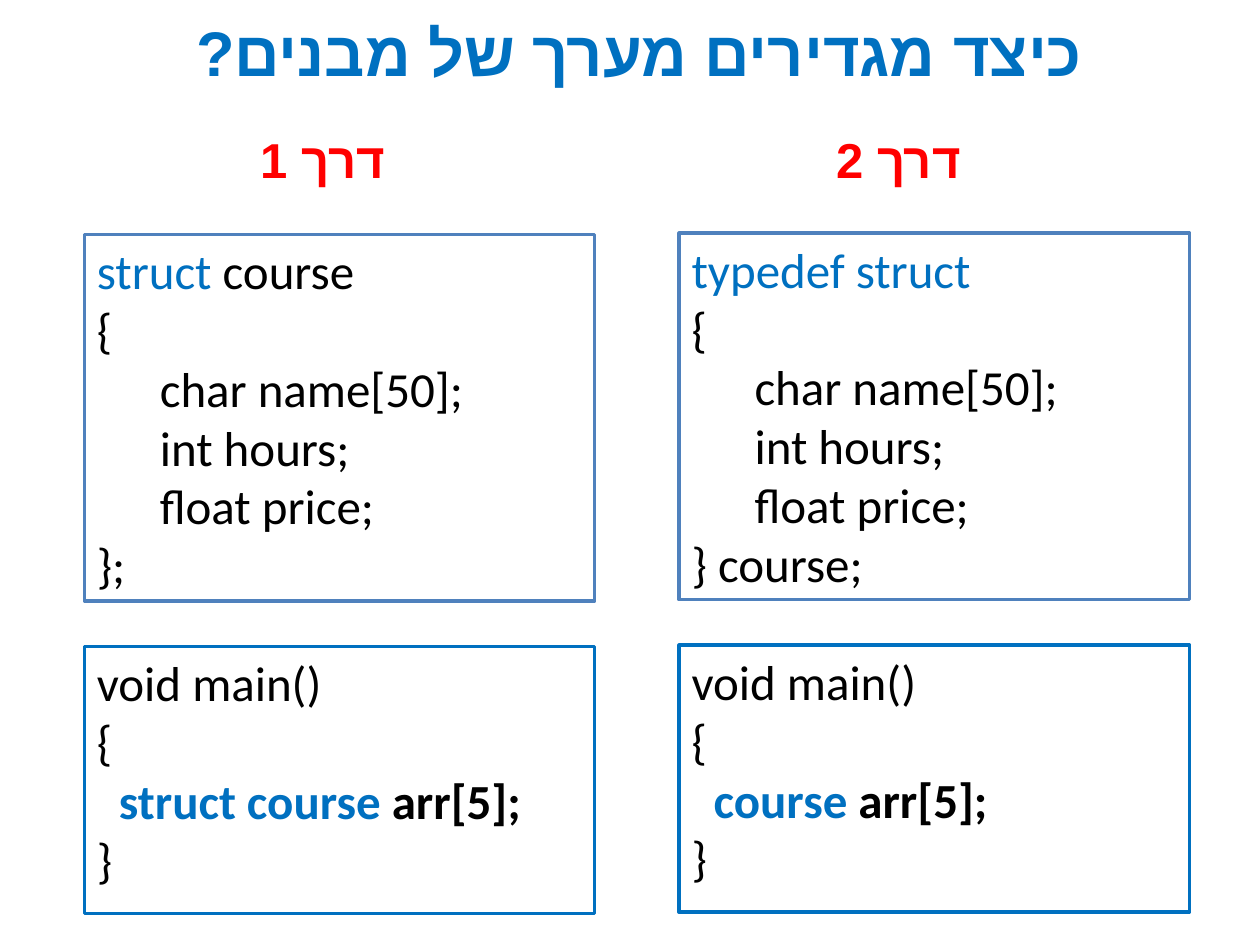
from lxml import etree
from pptx import Presentation
from pptx import util as u
from pptx.dml.color import RGBColor
from pptx.enum import shapes, text
from pptx.oxml.ns import qn

PX = 9144
BLUE = RGBColor(0x00, 0x70, 0xC0)
STEEL = RGBColor(0x4F, 0x81, 0xBD)
RED = RGBColor(0xFF, 0x00, 0x00)
BLACK = RGBColor(0x00, 0x00, 0x00)
WHITE = RGBColor(0xFF, 0xFF, 0xFF)


class CodeSlide:
    code_font = "Calibri"
    hebrew_font = "Arial"
    body_size = 28

    def __init__(self, deck):
        self.page = deck.slides.add_slide(deck.slide_layouts[6])

    def heading(self, words, left, top, width, height, color, size, font):
        box = self.page.shapes.add_textbox(*(n * PX for n in (left, top, width, height)))
        frame = box.text_frame
        frame.word_wrap = True
        frame.vertical_anchor = text.MSO_ANCHOR.MIDDLE
        para = frame.paragraphs[0]
        para.text = words
        para.alignment = text.PP_ALIGN.CENTER
        para._p.get_or_add_pPr().set("rtl", "1")
        self.style(para.font, size, font, color, True)
        for span in para.runs:
            self.style(span.font, size, font, color, True)
            script = etree.SubElement(span._r.get_or_add_rPr(), qn("a:cs"))
            script.set("typeface", self.hebrew_font)

    def style(self, font, size, name, color, bold):
        font.size = u.Pt(size)
        font.name = name
        font.bold = bold
        font.color.rgb = color

    def code(self, lines, left, top, width, height, border):
        box = self.page.shapes.add_shape(
            shapes.MSO_SHAPE.RECTANGLE, *(n * PX for n in (left, top, width, height)))
        box.shadow.inherit = False
        box.fill.solid()
        box.fill.fore_color.rgb = WHITE
        box.line.color.rgb = border
        box.line.width = u.Pt(2)
        frame = box.text_frame
        frame.word_wrap = True
        frame.vertical_anchor = text.MSO_ANCHOR.TOP
        for index, (keyword, rest, bold) in enumerate(lines):
            para = frame.add_paragraph() if index else frame.paragraphs[0]
            para.alignment = text.PP_ALIGN.LEFT
            self.style(para.font, self.body_size, self.code_font, BLACK, bold)
            for words, color in ((keyword, BLUE), (rest, BLACK)):
                if words:
                    span = para.add_run()
                    span.text = words
                    self.style(span.font, self.body_size, self.code_font, color, bold)


def plain(*lines):
    return [("", line, False) for line in lines]


def main():
    deck = Presentation()
    deck.slide_width, deck.slide_height = 1000 * PX, 750 * PX
    slide = CodeSlide(deck)
    slide.heading("כיצד מגדירים מערך של מבנים?", 98, 0, 819, 81, BLUE, 36, "Arial")

    fields = plain("{", "\tchar name[50];", "\tint hours;", "\tfloat price;")
    ways = [
        ("דרך 1", 185, 67, 186, ("struct ", "course", False), "};", "  struct course "),
        ("דרך 2", 642, 539, 185, ("typedef struct", "", False), "} course;", "  course "),
    ]
    for label, label_left, left, top, opening, closing, array_type in ways:
        definition = [opening, *fields, *plain(closing)]
        usage = [*plain("void main()", "{"), (array_type, "arr[5];", True), *plain("}")]
        slide.code(usage, left, top + 327, 405, 212, BLUE)
        slide.code(definition, left, top, 405, 291, STEEL)
        slide.heading(label, label_left, 98, 142, 57, RED, 28, "Calibri")

    deck.save("out.pptx")


if __name__ == "__main__":
    main()
